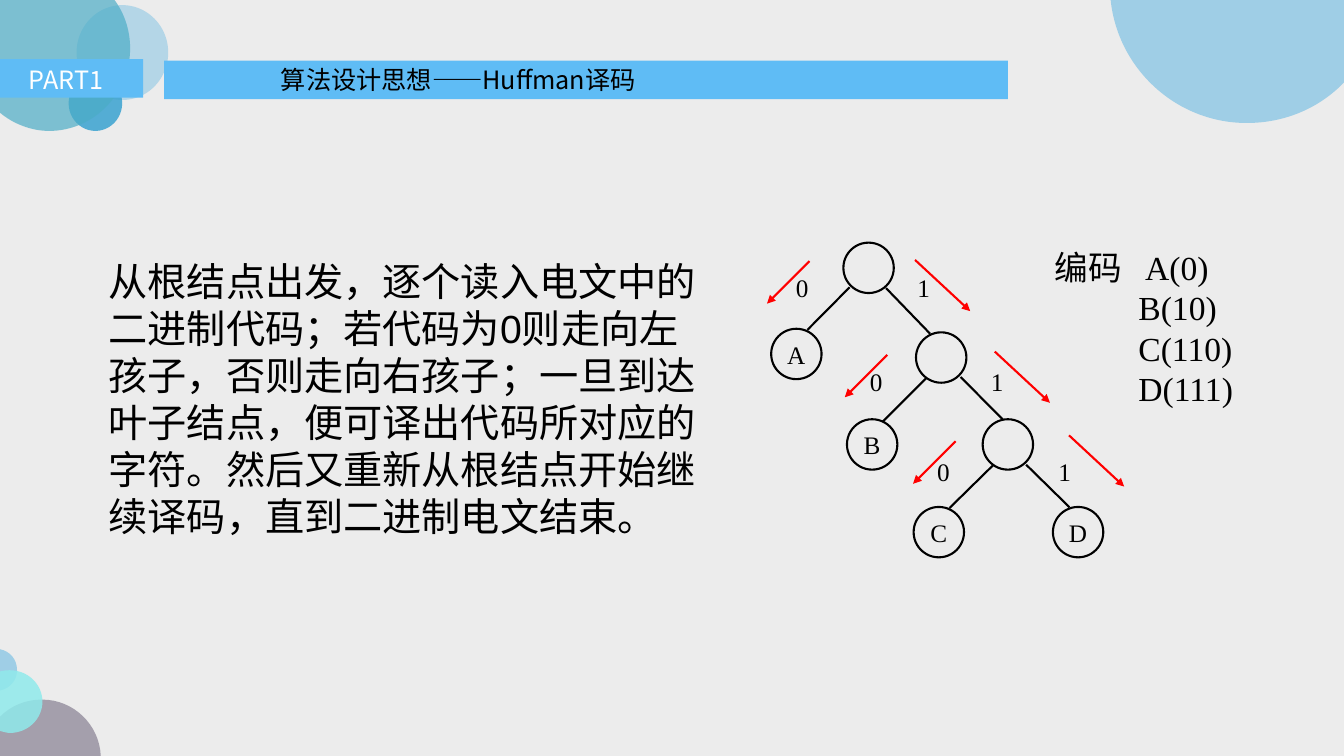
import pptx
import pptx.dml.color
import pptx.enum.shapes
import pptx.enum.text
import pptx.oxml.ns
import pptx.util
from lxml import etree

Cm = pptx.util.Cm
Pt = pptx.util.Pt
SHAPES = pptx.enum.shapes.MSO_SHAPE
ALIGN = pptx.enum.text.PP_ALIGN

# Content; all lengths are centimetres
COLORS = {
    "background": "ECECEC", "banner": "5FBCF5", "sky": "9FCEE6", "ocean": "3AA3D0",
    "teal": "4BACC6", "plum": "3F3151", "aqua": "90EAEB",
    "ink": "000000", "white": "FFFFFF", "arrow": "FF0000",
}
CJK, SANS, SERIF = "Noto Sans CJK SC", "Arial", "Times New Roman"

# Left, top, width, height, colour, opacity
WHOLE_BUBBLES = [
    (1.93, 0.13, 2.31, 2.39, "sky", 72),
    (1.73, 1.9, 1.35, 1.4, "ocean", 85),
]
# Colour, opacity, start, then steps: one point is a line, three points a curve
EDGE_BUBBLES = [
    ("teal", 69, (0, -0.02), [
        [(2.87, -0.02)], [(3.12, 0.3), (3.28, 0.74), (3.28, 1.22)],
        [(3.28, 2.36), (2.36, 3.3), (1.24, 3.3)], [(0.79, 3.3), (0.33, 3.12), (0, 2.84)]]),
    ("sky", 100, (27.99, 0), [
        [(33.87, 0)], [(33.87, 2.08)], [(33.25, 2.72), (32.39, 3.1), (31.42, 3.1)],
        [(29.64, 3.1), (28.17, 1.73), (27.99, 0)]]),
    ("sky", 100, (0, 16.36), [
        [(0.25, 16.41), (0.43, 16.61), (0.43, 16.89)],
        [(0.43, 17.15), (0.25, 17.35), (0, 17.4)]]),
    ("plum", 41, (1.07, 17.63), [
        [(1.85, 17.63), (2.51, 18.26), (2.54, 19.05)], [(0, 19.05)], [(0, 18.06)],
        [(0.28, 17.78), (0.64, 17.63), (1.07, 17.63)]]),
    ("aqua", 85, (0.25, 16.89), [
        [(0.71, 16.89), (1.07, 17.25), (1.07, 17.68)],
        [(1.07, 18.11), (0.71, 18.47), (0.25, 18.47)],
        [(0.18, 18.47), (0.08, 18.44), (0, 18.42)], [(0, 16.92)],
        [(0.08, 16.89), (0.18, 16.89), (0.25, 16.89)]]),
]
BANNERS = [(4.14, 1.53, 21.26, 0.97), (0, 1.49, 3.61, 0.97)]
TITLE = "算法设计思想——Huffman译码"
PART = "PART1"
EXPLANATION = (
    "从根结点出发，逐个读入电文中的二进制代码；若代码为0则走向左孩子，否则走向右孩子；"
    "一旦到达叶子结点，便可译出代码所对应的字符。然后又重新从根结点开始继续译码，"
    "直到二进制电文结束。"
)
CODE_HEADING = "编码"
CODES = ["A(0)", "B(10)", "C(110)", "D(111)"]

# Node centre and letter
NODE_SIZE = 1.27
NODES = [
    (21.89, 6.75, ""), (20.07, 8.92, "A"), (23.72, 9.01, ""), (21.98, 11.2, "B"),
    (25.4, 11.2, ""), (23.66, 13.41, "C"), (27.17, 13.41, "D"),
]
# Bit, edge start, edge end, arrow start, label corner
BRANCHES = [
    ("0", (21.41, 7.24), (20.35, 8.31), (20.4, 6.58), (19.81, 6.74)),
    ("1", (22.33, 7.26), (23.44, 8.41), (23.06, 6.55), (22.87, 6.74)),
    ("0", (23.34, 9.53), (22.25, 10.62), (22.36, 8.94), (21.67, 9.1)),
    ("1", (24.21, 9.5), (25.27, 10.57), (25.07, 8.86), (24.72, 9.1)),
    ("0", (25.02, 11.73), (23.93, 12.8), (24.08, 11.12), (23.37, 11.37)),
    ("1", (25.86, 11.71), (26.95, 12.78), (26.94, 10.97), (26.42, 11.37)),
]
ARROW_STEPS = {"0": (-1.07, 1.07), "1": (1.39, 1.29)}


def rgb(name):
    return pptx.dml.color.RGBColor.from_string(COLORS[name])


def add_element(parent, tag, **attributes):
    return etree.SubElement(parent, pptx.oxml.ns.qn(tag), attributes)


def paint(shape, color, opacity=100):
    shape.shadow.inherit = False
    shape.line.fill.background()
    shape.fill.solid()
    shape.fill.fore_color.rgb = rgb(color)
    if opacity < 100:
        color_element = shape.fill._xPr.find(".//" + pptx.oxml.ns.qn("a:srgbClr"))
        add_element(color_element, "a:alpha", val=str(opacity * 1000))


def write(paragraph, runs, size, color="ink", align=ALIGN.LEFT):
    """Fill a paragraph with (text, font) runs on a line pitch of 1.2."""
    paragraph.alignment = align
    paragraph.line_spacing = Pt(size * 1.2)
    for text, font_name in runs:
        run = paragraph.add_run()
        run.text = text
        for name, value in {"name": font_name, "size": Pt(size)}.items():
            setattr(run.font, name, value)
        run.font.color.rgb = rgb(color)
        add_element(run.font._element, "a:ea",
                    typeface=SERIF if font_name == SERIF else CJK)


def add_text_box(shapes, *box):
    frame = shapes.add_textbox(*map(Cm, box)).text_frame
    frame.word_wrap = True
    return frame


def add_line(shapes, start, end, color, arrowhead=False):
    line = shapes.add_connector(pptx.enum.shapes.MSO_CONNECTOR.STRAIGHT,
                                *map(Cm, (*start, *end)))
    line.line.color.rgb = rgb(color)
    line.line.width = Pt(1.5)
    if arrowhead:
        add_element(line.line._get_or_add_ln(), "a:tailEnd", type="triangle")
    add_element(line._element.spPr, "a:effectLst")


def add_edge_bubble(shapes, color, opacity, start, steps):
    builder = shapes.build_freeform(*map(Cm, start))
    builder.add_line_segments([tuple(map(Cm, point)) for step in steps for point in step])
    bubble = builder.convert_to_shape()
    segments = iter(bubble._element.findall(".//" + pptx.oxml.ns.qn("a:lnTo")))
    for step in steps:
        group = [next(segments) for point in step]
        if len(group) == 3:
            group[0].tag = pptx.oxml.ns.qn("a:cubicBezTo")
            for segment in group[1:]:
                group[0].append(segment[0])
                segment.getparent().remove(segment)
    add_element(group[0].getparent(), "a:close")
    paint(bubble, color, opacity)


def add_node(shapes, center_x, center_y, letter):
    node = shapes.add_shape(SHAPES.OVAL, Cm(center_x - NODE_SIZE / 2),
                            Cm(center_y - NODE_SIZE / 2), Cm(NODE_SIZE), Cm(NODE_SIZE))
    node.shadow.inherit = False
    node.fill.background()
    node.line.color.rgb = rgb("ink")
    node.line.width = Pt(1.5)
    if letter:
        frame_format = {
            "margin_left": 0, "margin_right": 0, "margin_top": 0, "margin_bottom": 0,
            "word_wrap": False, "vertical_anchor": pptx.enum.text.MSO_ANCHOR.MIDDLE,
        }
        for name, value in frame_format.items():
            setattr(node.text_frame, name, value)
        write(node.text_frame.paragraphs[0], [(letter, SERIF)], 18, align=ALIGN.CENTER)


def add_code_list(shapes):
    frame = add_text_box(shapes, 26.33, 6.1, 5.05, 4.37)
    for index, code in enumerate(CODES):
        paragraph = frame.paragraphs[0] if index == 0 else frame.add_paragraph()
        properties = paragraph._p.get_or_add_pPr()
        runs = [(code, SERIF)]
        if index == 0:
            tabs = add_element(properties, "a:tabLst")
            add_element(tabs, "a:tab", pos=str(Cm(2.28)), algn="l")
            runs = [(CODE_HEADING, CJK), ("\t" + code, SERIF)]
        else:
            properties.set("marL", str(Cm(2.11)))
        write(paragraph, runs, 24)


def main():
    presentation = pptx.Presentation()
    presentation.slide_width, presentation.slide_height = Cm(33.87), Cm(19.05)
    slide = presentation.slides.add_slide(presentation.slide_layouts[6])
    slide.background.fill.solid()
    slide.background.fill.fore_color.rgb = rgb("background")
    shapes = slide.shapes

    # Corner bubbles
    for *box, color, opacity in WHOLE_BUBBLES:
        paint(shapes.add_shape(SHAPES.OVAL, *map(Cm, box)), color, opacity)
    for bubble in EDGE_BUBBLES:
        add_edge_bubble(shapes, *bubble)
    # Banner
    for box in BANNERS:
        paint(shapes.add_shape(SHAPES.RECTANGLE, *map(Cm, box)), "banner")
    title = add_text_box(shapes, 6.83, 1.49, 12.8, 1.03)
    write(title.paragraphs[0], [(TITLE, CJK)], 18)
    part = add_text_box(shapes, 0.48, 1.49, 2.67, 1.03)
    write(part.paragraphs[0], [(PART, CJK)], 18, "white")
    # Explanation
    explanation = add_text_box(shapes, 1.74, 6.35, 16.56, 7.44).paragraphs[0]
    explanation._p.get_or_add_pPr().set("marL", str(Cm(0.75)))
    write(explanation, [(EXPLANATION, SANS)], 28)
    # Code tree
    for node in NODES:
        add_node(shapes, *node)
    for bit, edge_start, edge_end, arrow_start, corner in BRANCHES:
        add_line(shapes, edge_start, edge_end, "ink")
        label = add_text_box(shapes, *corner, 1.07, 1.4)
        write(label.paragraphs[0], [(bit, SERIF)], 18)
        arrow_end = [sum(pair) for pair in zip(arrow_start, ARROW_STEPS[bit])]
        add_line(shapes, arrow_start, arrow_end, "arrow", arrowhead=True)
    add_code_list(shapes)
    presentation.save("out.pptx")


if __name__ == "__main__":
    main()
